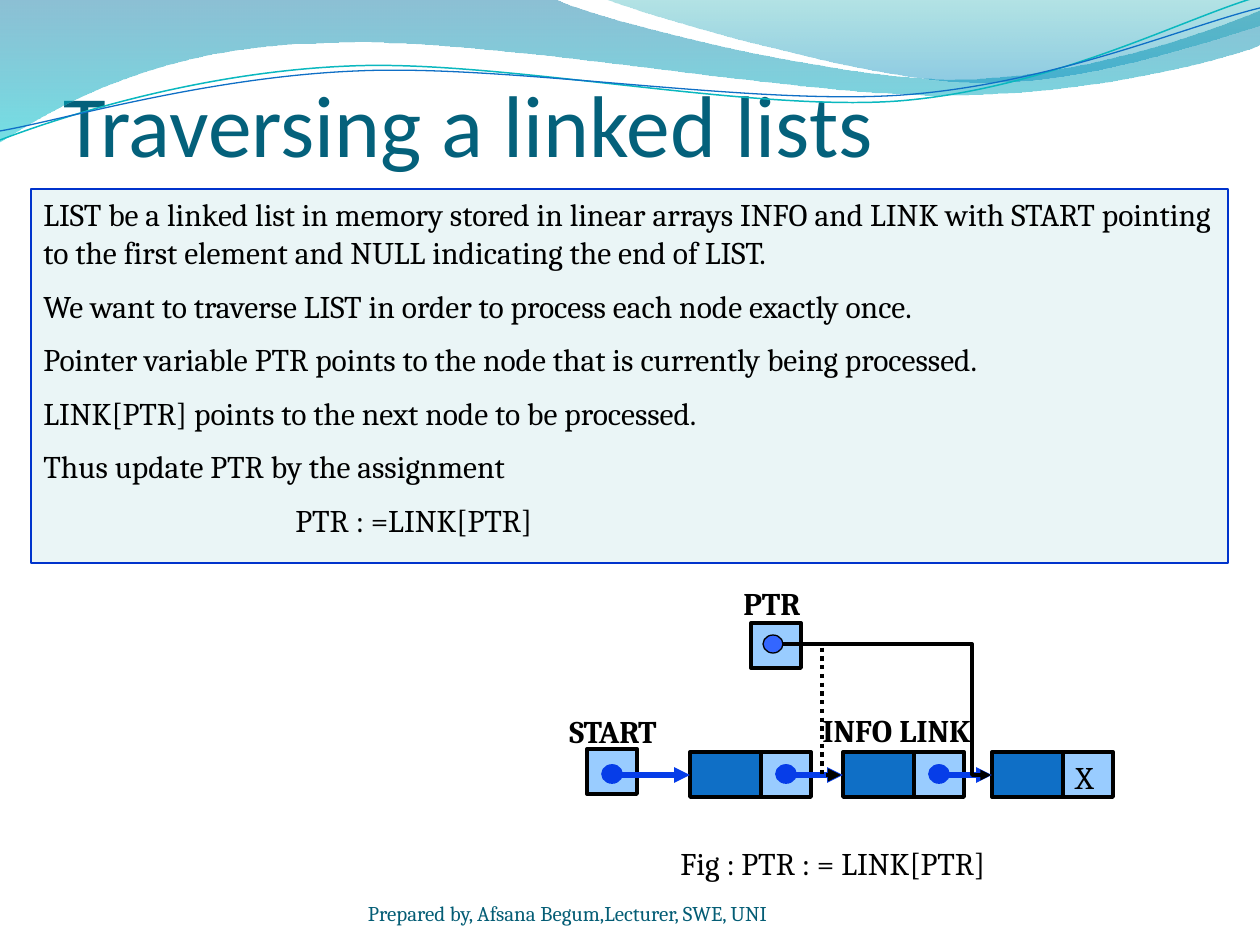
from lxml import etree
from pptx import Presentation, util as u
from pptx.dml.color import RGBColor
from pptx.enum import dml, shapes, text
from pptx.oxml.ns import qn

PX = 914400 / 126
COLORS = {
    "title": "04617B", "footer": "045D75", "ink": "000000",
    "panel": "EAF5F6", "panel_edge": "0033CC",
    "info": "0F6FC6", "link": "99CCFF", "pointer": "063DE8", "ptr_dot": "3366FF",
    "wave_blue": "0074A1", "wave_cyan": "00C6CF",
    "crest_teal": "00A1A9", "crest_blue": "008BBF",
    "line_teal": "0AB8BF", "line_blue": "0F6FC6",
}
STATEMENTS = [
    "LIST be a linked list in memory stored in linear arrays INFO and LINK with "
    "START pointing to the first element and NULL indicating the end of LIST.",
    "We want to traverse LIST in order to process each node exactly once.",
    "Pointer variable PTR points to the node that is currently being processed.",
    "LINK[PTR] points to the next node to be processed.",
    "Thus update PTR by the assignment",
    "PTR : =LINK[PTR]",
]
# Each wave: start point, then curves (6 numbers) or straight segments (2 numbers)
WAVES = [
    {"start": (0, 0), "fill": [("wave_blue", 45), ("wave_cyan", 55)],
     "parts": [(554, -1), (600, 21, 837, 79, 955, 79), (1074, 79, 1207, 33, 1260, 11),
               (1261, 45), (1239, 55, 1096, 96, 940, 95), (784, 95, 481, 35, 324, 43),
               (163, 45, 58, 105, -1, 142)]},
    {"start": (604, -1), "fill": [("crest_teal", 30), ("crest_blue", 45)],
     "parts": [(642, 14, 859, 78, 969, 82), (1079, 87, 1211, 40, 1260, 26), (1260, 0)]},
    {"start": (0, 140), "line": ("line_teal", 0.85),
     "parts": [(60, 117, 199, 72, 349, 66), (498, 59, 747, 112, 898, 101),
               (1050, 89, 1182, 19, 1257, -3)]},
    {"start": (0, 131), "line": ("line_blue", 0.75),
     "parts": [(59, 121, 207, 77, 357, 71), (508, 64, 752, 106, 903, 95),
               (1053, 84, 1186, 26, 1260, 8)]},
]


def rgb(name):
    """Return the named colour."""
    return RGBColor.from_string(COLORS[name])


def emu(*pixels):
    """Turn pixel lengths into EMU."""
    return [round(p * PX) for p in pixels]


def set_line(line, color, points):
    """Give a line its colour and width."""
    line.color.rgb = rgb(color)
    line.width = u.Pt(points)


def add_outline(slide, left, top, start, parts, closed):
    """Draw an outline of straight and cubic parts."""
    knots = [start] + [part[-2:] for part in parts]
    builder = slide.shapes.build_freeform(left + start[0], top + start[1], scale=PX)
    builder.add_line_segments([(left + x, top + y) for x, y in knots[1:]], close=closed)
    outline = builder.convert_to_shape()
    min_x, min_y = (min(axis) for axis in zip(*knots))
    for segment, part in zip(list(outline._element.iter(qn("a:lnTo"))), parts):
        if len(part) == 6:
            curve = etree.Element(qn("a:cubicBezTo"))
            for x, y in zip(part[::2], part[1::2]):
                point = etree.SubElement(curve, qn("a:pt"))
                point.set("x", str(x - min_x))
                point.set("y", str(y - min_y))
            segment.getparent().replace(segment, curve)
    outline.shadow.inherit = False
    return outline


def add_waves(slide, left, top):
    """Draw the wave banner from its top left corner."""
    for wave in WAVES:
        band = add_outline(slide, left, top, wave["start"], wave["parts"], "fill" in wave)
        if "line" in wave:
            band.fill.background()
            set_line(band.line, *wave["line"])
            continue
        band.line.fill.background()
        band.fill.gradient()
        band.fill.gradient_angle = 270
        for stop, position, (color, opacity) in zip(band.fill.gradient_stops, (0, 1), wave["fill"]):
            stop.position = position
            stop.color.rgb = rgb(color)
            for value in stop._element.iter(qn("a:srgbClr")):
                etree.SubElement(value, qn("a:alpha")).set("val", str(opacity * 1000))


def write(frame, lines, color="ink", size=18, font="Cambria", bold=False, **layout):
    """Fill a text frame with formatted paragraphs."""
    for key, value in {"word_wrap": True, **layout}.items():
        setattr(frame, key, value)
    for index, line in enumerate(lines):
        paragraph = frame.paragraphs[0] if index == 0 else frame.add_paragraph()
        paragraph.alignment = text.PP_ALIGN.LEFT
        paragraph.space_before = u.Pt(9 if index else 0)
        run = paragraph.add_run()
        run.text = line
        for key, value in {"size": u.Pt(size), "name": font, "bold": bold}.items():
            setattr(run.font, key, value)
        run.font.color.rgb = rgb(color)


def add_label(slide, box, words, **style):
    """Place a one-paragraph text box."""
    write(slide.shapes.add_textbox(*emu(*box)).text_frame, [words], **style)


def add_block(slide, box, fill, edge="ink", points=2.25, kind=shapes.MSO_SHAPE.RECTANGLE):
    """Place a filled and outlined shape."""
    block = slide.shapes.add_shape(kind, *emu(*box))
    block.shadow.inherit = False
    block.fill.solid()
    block.fill.fore_color.rgb = rgb(fill)
    set_line(block.line, edge, points)
    return block


def add_dot(slide, x, y, fill="pointer", edge="pointer", points=1):
    """Place the round origin of a pointer."""
    add_block(slide, (x, y, 20, 18), fill, edge, points, shapes.MSO_SHAPE.OVAL)


def add_arrow(slide, ends, color, points, bend=None, dash=None):
    """Draw a pointer arrow, bent at the given distance from its start."""
    kind = shapes.MSO_CONNECTOR.ELBOW if bend else shapes.MSO_CONNECTOR.STRAIGHT
    arrow = slide.shapes.add_connector(kind, *emu(*ends))
    set_line(arrow.line, color, points)
    if dash:
        arrow.line.dash_style = dash
    properties = arrow._element.spPr
    etree.SubElement(properties.find(qn("a:ln")), qn("a:tailEnd")).set("type", "triangle")
    etree.SubElement(properties, qn("a:effectLst"))
    if bend:
        guides = properties.find(qn("a:prstGeom")).get_or_add_avLst()
        guide = etree.SubElement(guides, qn("a:gd"))
        guide.set("name", "adj1")
        guide.set("fmla", f"val {round(bend / (ends[2] - ends[0]) * 100000)}")


def add_title(slide, box, words):
    """Move and fill the title placeholder."""
    title = slide.shapes.title
    title.left, title.top, title.width, title.height = emu(*box)
    write(title.text_frame, [words], color="title", size=50, font="Calibri",
          vertical_anchor=text.MSO_ANCHOR.BOTTOM, margin_left=0, margin_right=0,
          margin_bottom=0, auto_size=text.MSO_AUTO_SIZE.NONE)


def add_statements(slide, box):
    """Place the explanation panel, its assignment indented."""
    panel = add_block(slide, box, "panel", "panel_edge", 0.75)
    write(panel.text_frame, STATEMENTS, vertical_anchor=text.MSO_ANCHOR.TOP)
    assignment = panel.text_frame.paragraphs[-1]._p.get_or_add_pPr()
    assignment.set("marL", str(u.Inches(2)))
    assignment.set("indent", "0")


def add_list_diagram(slide, left, top):
    """Draw the linked list and its moving PTR from a top left corner."""
    def at(x, y, *size):
        return (left + x, top + y, *size)

    axis = 205
    nodes = [140, 293, 442]
    add_block(slide, at(37, 179, 50, 45), "link")
    add_dot(slide, *at(52, 195))
    for node in nodes:
        add_block(slide, at(node, 182, 71, 45), "info")
        add_block(slide, at(node + 71, 182, 50, 45), "link")
    for node in nodes[:-1]:
        add_dot(slide, *at(node + 86, 195))
    for tail, head in zip([70, nodes[0] + 91, nodes[1] + 91], nodes):
        add_arrow(slide, at(tail, axis, *at(head, axis)), "pointer", 3)

    labels = [("START", 7, 136, 126, True), ("X", 513, 182, 40, False),
              ("INFO LINK", 260, 135, 243, True), ("PTR", 181, 8, 91, True),
              ("Fig : PTR : = LINK[PTR]", 118, 268, 498, False)]
    for words, x, y, width, bold in labels:
        add_label(slide, at(x, y, width, 44), words, bold=bold)

    add_block(slide, at(201, 53, 50, 45), "link")
    add_dot(slide, *at(213, 65), "ptr_dot", "ink", 0.75)
    for head, bend, points, dash in [(291, 40, 2.5, dml.MSO_LINE.ROUND_DOT),
                                     (441, 190, 2, None)]:
        add_arrow(slide, at(232, 74, *at(head, axis)), "ink", points, bend, dash)


def main():
    """Build and save the slide."""
    deck = Presentation()
    deck.slide_width, deck.slide_height = emu(1260, 945)
    slide = deck.slides.add_slide(deck.slide_layouts[5])
    add_waves(slide, 0, 0)
    add_label(slide, (368, 876, 462, 50), "Prepared by, Afsana Begum,Lecturer, SWE, UNI",
              color="footer", size=12, vertical_anchor=text.MSO_ANCHOR.BOTTOM,
              margin_left=0, margin_right=0, margin_top=0, margin_bottom=0)
    add_title(slide, (63, 18, 1134, 157), "Traversing a linked lists")
    add_statements(slide, (31, 189, 1197, 374))
    add_list_diagram(slide, 550, 570)
    deck.save("out.pptx")


main()
